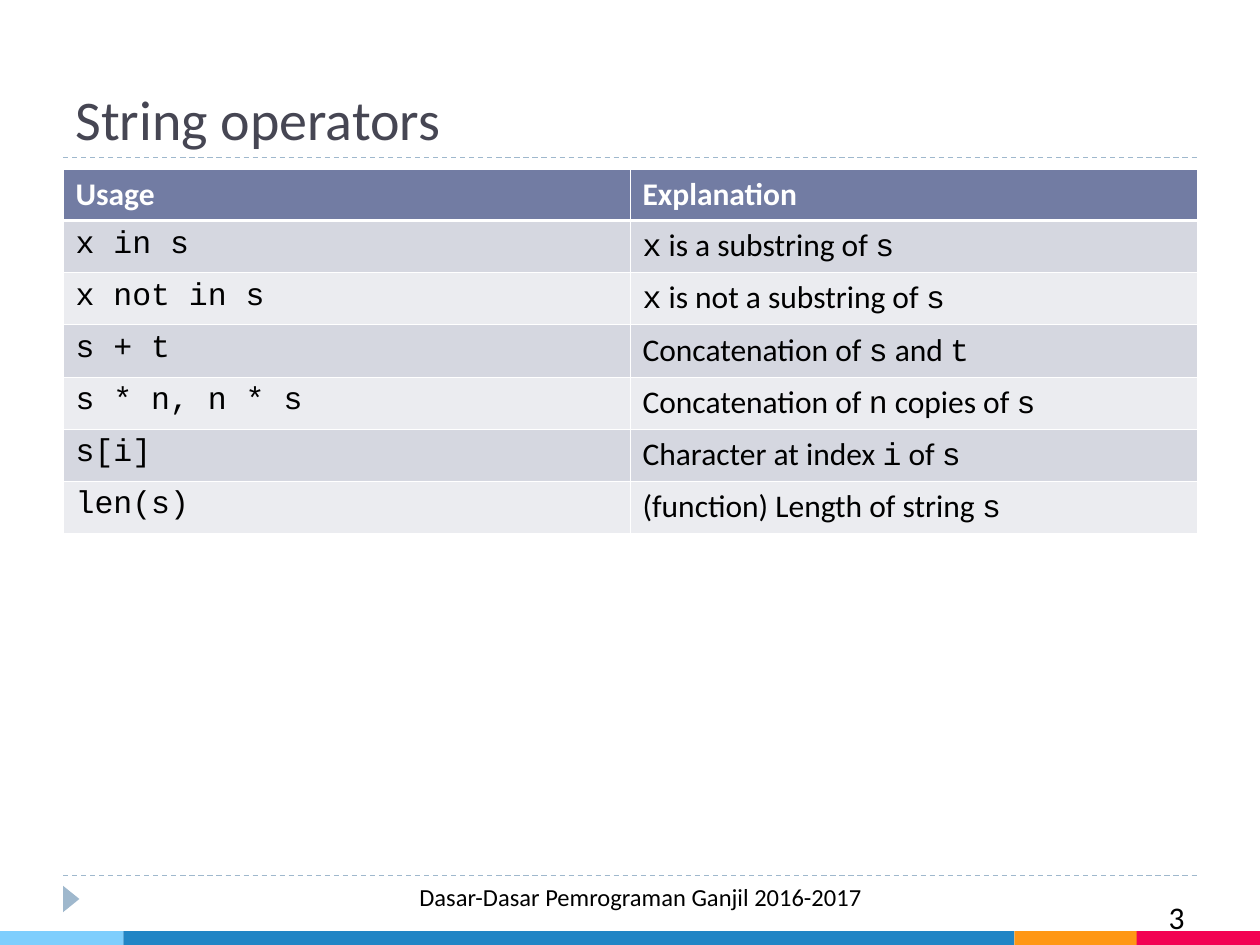
from typing import NamedTuple

from lxml import etree
from pptx import Presentation
from pptx.dml.color import RGBColor
from pptx.enum.dml import MSO_LINE
from pptx.enum.shapes import MSO_CONNECTOR, MSO_SHAPE
from pptx.enum.text import MSO_ANCHOR, PP_ALIGN
from pptx.oxml.ns import qn
from pptx.slide import Slide
from pptx.table import _Cell
from pptx.text.text import _Paragraph
from pptx.util import Inches, Pt

STRAIGHT = MSO_CONNECTOR.STRAIGHT
DASH = MSO_LINE.DASH
RECTANGLE, TRIANGLE = MSO_SHAPE.RECTANGLE, MSO_SHAPE.ISOSCELES_TRIANGLE
TOP, BOTTOM = MSO_ANCHOR.TOP, MSO_ANCHOR.BOTTOM
LEFT, CENTER, RIGHT = PP_ALIGN.LEFT, PP_ALIGN.CENTER, PP_ALIGN.RIGHT

BLACK = RGBColor(0x00, 0x00, 0x00)
WHITE = RGBColor(0xFF, 0xFF, 0xFF)
TITLE_COLOR = RGBColor(0x46, 0x46, 0x53)
ACCENT = RGBColor(0x9F, 0xB8, 0xCD)
HEADER_FILL = RGBColor(0x72, 0x7C, 0xA3)
BAND_FILLS = (RGBColor(0xEB, 0xEC, 0xF0), RGBColor(0xD5, 0xD7, 0xE0))
LIGHT_BLUE = RGBColor(0x7E, 0xCE, 0xFD)
BLUE = RGBColor(0x21, 0x85, 0xC5)
ORANGE = RGBColor(0xFF, 0x97, 0x15)
RED = RGBColor(0xF2, 0x02, 0x53)

TEXT_FONT, CODE_FONT = "Calibri", "Courier New"
THIN_BORDER, THICK_BORDER = 0.45, 1.47
ROW_HEIGHT = 0.41
OPERATORS = (
    ("Usage", "Explanation"),
    ("`x in s`", "`x` is a substring of `s`"),
    ("`x not in s`", "`x` is not a substring of `s`"),
    ("`s + t`", "Concatenation of `s` and `t`"),
    ("`s * n, n * s`", "Concatenation of `n` copies of `s`"),
    ("`s[i]`", "Character at index `i` of `s`"),
    ("`len(s)`", "(function) Length of string `s`"),
)


class Block(NamedTuple):
    """A filled shape with its place in inches."""
    kind: MSO_SHAPE
    left: float
    top: float
    width: float
    height: float
    color: RGBColor
    rotation: float = 0


class Label(NamedTuple):
    """A text box with its place in inches."""
    text: str
    left: float
    top: float
    width: float
    height: float
    size: float
    color: RGBColor = BLACK
    alignment: PP_ALIGN = LEFT
    anchor: MSO_ANCHOR = TOP


RULE_TOPS = (6.95, 1.25)
BLOCKS = (
    Block(TRIANGLE, 0.46, 7.07, 0.21, 0.13, ACCENT, 90),
    Block(RECTANGLE, 8.05, 7.39, 0.98, 0.11, ORANGE),
    Block(RECTANGLE, 9.02, 7.39, 0.98, 0.11, RED),
    Block(RECTANGLE, 0, 7.39, 0.98, 0.11, LIGHT_BLUE),
    Block(RECTANGLE, 0.98, 7.39, 7.07, 0.11, BLUE),
)
LABELS = (
    Label("3", 7.33, 7.08, 2.17, 0.4, 18, alignment=RIGHT),
    Label("String operators", 0.5, 0.17, 9, 1.08, 32, TITLE_COLOR, anchor=BOTTOM),
    Label("Dasar-Dasar Pemrograman Ganjil 2016-2017", 3.17, 6.95, 3.83, 0.4, 14,
          alignment=CENTER),
)


def add_text(paragraph: _Paragraph, text: str, size: float, color: RGBColor,
             bold: bool = False) -> None:
    """Write text, setting the parts between backticks in the code font."""
    for position, part in enumerate(text.split("`")):
        if part:
            run = paragraph.add_run()
            run.text = part
            font_name = CODE_FONT if position % 2 else TEXT_FONT
            values = {"name": font_name, "size": Pt(size), "bold": bold}
            for name, value in values.items():
                setattr(run.font, name, value)
            run.font.color.rgb = color


def add_rule(slide: Slide, top: float) -> None:
    """Draw a dashed rule across the content width."""
    rule = slide.shapes.add_connector(
        STRAIGHT, Inches(0.5), Inches(top), Inches(9.5), Inches(top))
    rule.line.color.rgb = ACCENT
    rule.line.width = Pt(0.75)
    rule.line.dash_style = DASH
    etree.SubElement(rule._element.spPr, qn("a:effectLst"))


def add_block(slide: Slide, block: Block) -> None:
    """Draw a filled shape without an outline."""
    shape = slide.shapes.add_shape(
        block.kind, Inches(block.left), Inches(block.top),
        Inches(block.width), Inches(block.height))
    shape.rotation = block.rotation
    shape.shadow.inherit = False
    shape.fill.solid()
    shape.fill.fore_color.rgb = block.color
    shape.line.fill.background()


def add_label(slide: Slide, label: Label) -> None:
    """Draw a text box with one paragraph."""
    box = slide.shapes.add_textbox(
        Inches(label.left), Inches(label.top),
        Inches(label.width), Inches(label.height))
    frame = box.text_frame
    frame.word_wrap = True
    frame.vertical_anchor = label.anchor
    paragraph = frame.paragraphs[0]
    paragraph.alignment = label.alignment
    add_text(paragraph, label.text, label.size, label.color)


def set_borders(cell: _Cell, row: int) -> None:
    """Give a cell white borders, thicker between header and body."""
    widths = {
        "a:lnL": THIN_BORDER,
        "a:lnR": THIN_BORDER,
        "a:lnT": THICK_BORDER if row == 1 else THIN_BORDER,
        "a:lnB": THICK_BORDER if row == 0 else THIN_BORDER,
    }
    properties = cell._tc.get_or_add_tcPr()
    for index, (tag, width) in enumerate(widths.items()):
        border = etree.Element(qn(tag), w=str(Pt(width)))
        fill = etree.SubElement(border, qn("a:solidFill"))
        etree.SubElement(fill, qn("a:srgbClr"), val=str(WHITE))
        properties.insert(index, border)


def add_operator_table(slide: Slide) -> None:
    """Draw the banded table of string operators."""
    row_count = len(OPERATORS)
    table = slide.shapes.add_table(
        row_count, 2, Inches(0.5), Inches(1.34), Inches(9),
        Inches(ROW_HEIGHT * row_count)).table
    for row, texts in enumerate(OPERATORS):
        is_header = row == 0
        for column, text in enumerate(texts):
            cell = table.cell(row, column)
            cell.fill.solid()
            cell.fill.fore_color.rgb = HEADER_FILL if is_header else BAND_FILLS[row % 2]
            set_borders(cell, row)
            add_text(cell.text_frame.paragraphs[0], text, 18,
                     WHITE if is_header else BLACK, is_header)


def main() -> None:
    """Build and save the slide."""
    presentation = Presentation()
    presentation.slide_width = Inches(10)
    presentation.slide_height = Inches(7.5)
    slide = presentation.slides.add_slide(presentation.slide_layouts[6])
    for top in RULE_TOPS:
        add_rule(slide, top)
    for block in BLOCKS:
        add_block(slide, block)
    add_operator_table(slide)
    for label in LABELS:
        add_label(slide, label)
    presentation.save("out.pptx")


if __name__ == "__main__":
    main()
